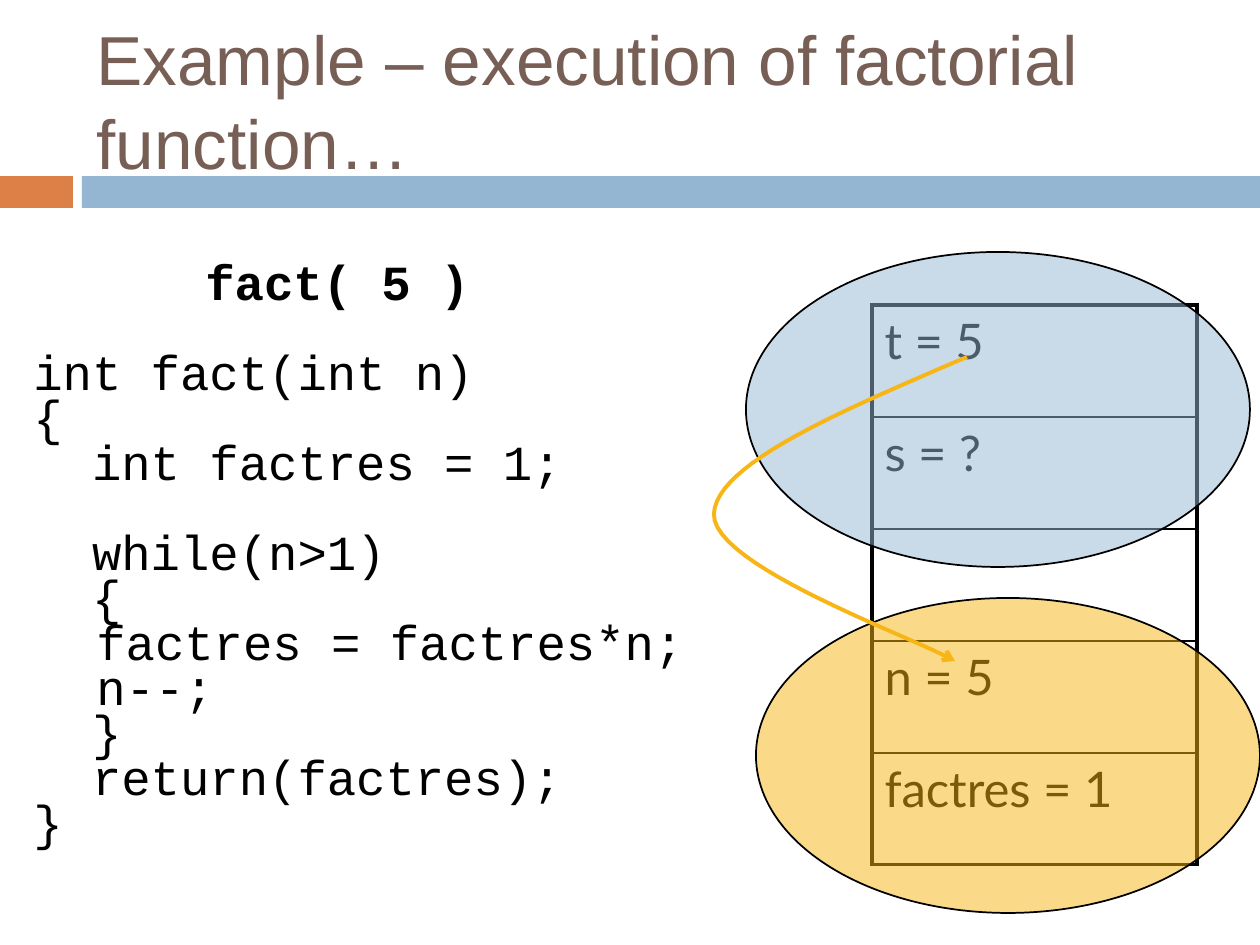
from dataclasses import dataclass
from typing import Optional

from pptx import Presentation
from pptx.dml.color import RGBColor
from pptx.enum.shapes import MSO_SHAPE
from pptx.enum.text import MSO_ANCHOR, MSO_AUTO_SIZE, PP_ALIGN
from pptx.oxml import parse_xml
from pptx.oxml.ns import nsdecls, qn
from pptx.util import Emu, Pt

SCALE = 914400 / 126


@dataclass(frozen=True)
class Theme:
    title: str = "775F55"
    orange: str = "DD8047"
    blue: str = "94B6D2"
    amber: str = "F7B615"
    ink: str = "000000"
    title_font: str = "Arial"
    code_font: str = "Courier New"
    table_font: str = "Lato"
    title_size: float = 39.6
    body_size: int = 28
    title_pitch: int = 48
    code_pitch: float = 25.7
    thin: int = 1
    thick: float = 2.25


@dataclass(frozen=True)
class Box:
    x: int
    y: int
    w: int
    h: int

    def emu(self) -> tuple:
        return tuple(px(v) for v in (self.x, self.y, self.w, self.h))


@dataclass(frozen=True)
class Figure:
    kind: MSO_SHAPE
    box: Box
    fill: str
    outline: Optional[str] = None
    alpha: int = 100


T = Theme()
BARS = [
    Figure(MSO_SHAPE.RECTANGLE, Box(0, 176, 73, 32), T.orange),
    Figure(MSO_SHAPE.RECTANGLE, Box(82, 176, 1178, 32), T.blue),
]
FRAMES = [
    Figure(MSO_SHAPE.OVAL, Box(746, 252, 504, 315), T.blue, T.ink, 50),
    Figure(MSO_SHAPE.OVAL, Box(756, 598, 504, 315), T.amber, T.ink, 50),
]
CODE = [
    ["int fact(int n)", "{", "  int factres = 1;"],
    ["  while(n>1)", "  {", "\tfactres = factres*n;", "\tn--;", "  }",
     "  return(factres);", "}"],
]
MEMORY = ["t = 5", "s = ?", "", "n = 5", "factres = 1"]
CURVES = [
    ((967, 357), (841, 411), (716, 464), (714, 514)),
    ((714, 514), (712, 566), (915, 638), (955, 661)),
]


def px(n: float) -> Emu:
    return Emu(round(n * SCALE))


def rgb(color: str) -> RGBColor:
    return RGBColor.from_string(color)


def style(p, font: str, size: float, color: str, bold: bool = False) -> None:
    p.font.name, p.font.size, p.font.bold = font, Pt(size), bold
    p.font.color.rgb = rgb(color)


def add_title(s, text: str, box: Box) -> None:
    sp = s.shapes.title
    sp.left, sp.top, sp.width, sp.height = box.emu()
    tf = sp.text_frame
    tf.text = text
    tf.word_wrap, tf.auto_size = True, MSO_AUTO_SIZE.NONE
    tf.vertical_anchor = MSO_ANCHOR.MIDDLE
    p = tf.paragraphs[0]
    p.alignment, p.line_spacing = PP_ALIGN.LEFT, Pt(T.title_pitch)
    style(p, T.title_font, T.title_size, T.title)


def add_figure(s, f: Figure) -> None:
    sp = s.shapes.add_shape(f.kind, *f.box.emu())
    sp.shadow.inherit = False
    sp.fill.solid()
    sp.fill.fore_color.rgb = rgb(f.fill)
    if f.alpha < 100:
        color = sp.fill._xPr.find(qn("a:solidFill"))[0]
        color.append(parse_xml(f'<a:alpha {nsdecls("a")} val="{f.alpha * 1000}"/>'))
    if f.outline:
        sp.line.color.rgb, sp.line.width = rgb(f.outline), Pt(T.thin)
    else:
        sp.line.fill.background()


def add_code(s, blocks: list, box: Box) -> None:
    tf = s.shapes.add_textbox(*box.emu()).text_frame
    tf.word_wrap, tf.margin_top = True, 0
    for b, block in enumerate(blocks):
        for i, line in enumerate(block):
            p = tf.add_paragraph() if b or i else tf.paragraphs[0]
            p.text = line
            p.line_spacing = Pt(T.code_pitch)
            p.space_before = Pt(T.code_pitch if b and not i else 0)
            style(p, T.code_font, T.body_size, T.ink)


def add_label(s, text: str, box: Box) -> None:
    tf = s.shapes.add_textbox(*box.emu()).text_frame
    tf.word_wrap = True
    p = tf.paragraphs[0]
    p.text = text
    style(p, T.code_font, T.body_size, T.ink, bold=True)


def add_borders(cell, widths: dict) -> None:
    tc_pr = cell._tc.get_or_add_tcPr()
    for side, width in widths.items():
        tc_pr.append(parse_xml(
            f'<a:ln{side} {nsdecls("a")} w="{Pt(width)}"><a:solidFill>'
            f'<a:srgbClr val="{T.ink}"/></a:solidFill></a:ln{side}>'))


def add_memory(s, rows: list, box: Box) -> None:
    table = s.shapes.add_table(len(rows), 1, *box.emu()).table
    table.first_row = table.horz_banding = False
    last = len(rows) - 1
    for i, text in enumerate(rows):
        cell = table.cell(i, 0)
        add_borders(cell, {
            "L": T.thick, "R": T.thick,
            "T": T.thin if i else T.thick,
            "B": T.thin if i < last else T.thick})
        cell.fill.background()
        cell.text = text
        style(cell.text_frame.paragraphs[0], T.table_font, T.body_size, T.ink)


def bezier(curve: tuple, t: float) -> tuple:
    weights = ((1 - t) ** 3, 3 * t * (1 - t) ** 2, 3 * t * t * (1 - t), t ** 3)
    return tuple(sum(w * pt[k] for w, pt in zip(weights, curve)) for k in (0, 1))


def add_arrow(s, curves: list, steps: int = 24) -> None:
    points = [bezier(c, i / steps) for c in curves for i in range(1, steps + 1)]
    fb = s.shapes.build_freeform(*(px(v) for v in curves[0][0]))
    fb.add_line_segments([(px(x), px(y)) for x, y in points], close=False)
    sp = fb.convert_to_shape()
    sp.shadow.inherit = False
    sp.fill.background()
    sp.line.color.rgb, sp.line.width = rgb(T.amber), Pt(T.thick)
    sp.line._get_or_add_ln().append(
        parse_xml(f'<a:tailEnd {nsdecls("a")} type="arrow"/>'))


def main() -> None:
    """Build the factorial execution slide."""
    prs = Presentation()
    prs.slide_width, prs.slide_height = px(1260), px(945)
    s = prs.slides.add_slide(prs.slide_layouts[5])
    for bar in BARS:
        add_figure(s, bar)
    add_title(s, "Example – execution of factorial function…", Box(84, 31, 1124, 136))
    add_code(s, CODE, Box(21, 355, 756, 500))
    add_memory(s, MEMORY, Box(872, 305, 325, 560))
    for frame in FRAMES:
        add_figure(s, frame)
    add_arrow(s, CURVES)
    add_label(s, "fact( 5 )", Box(193, 245, 378, 72))
    prs.save("out.pptx")


if __name__ == "__main__":
    main()
